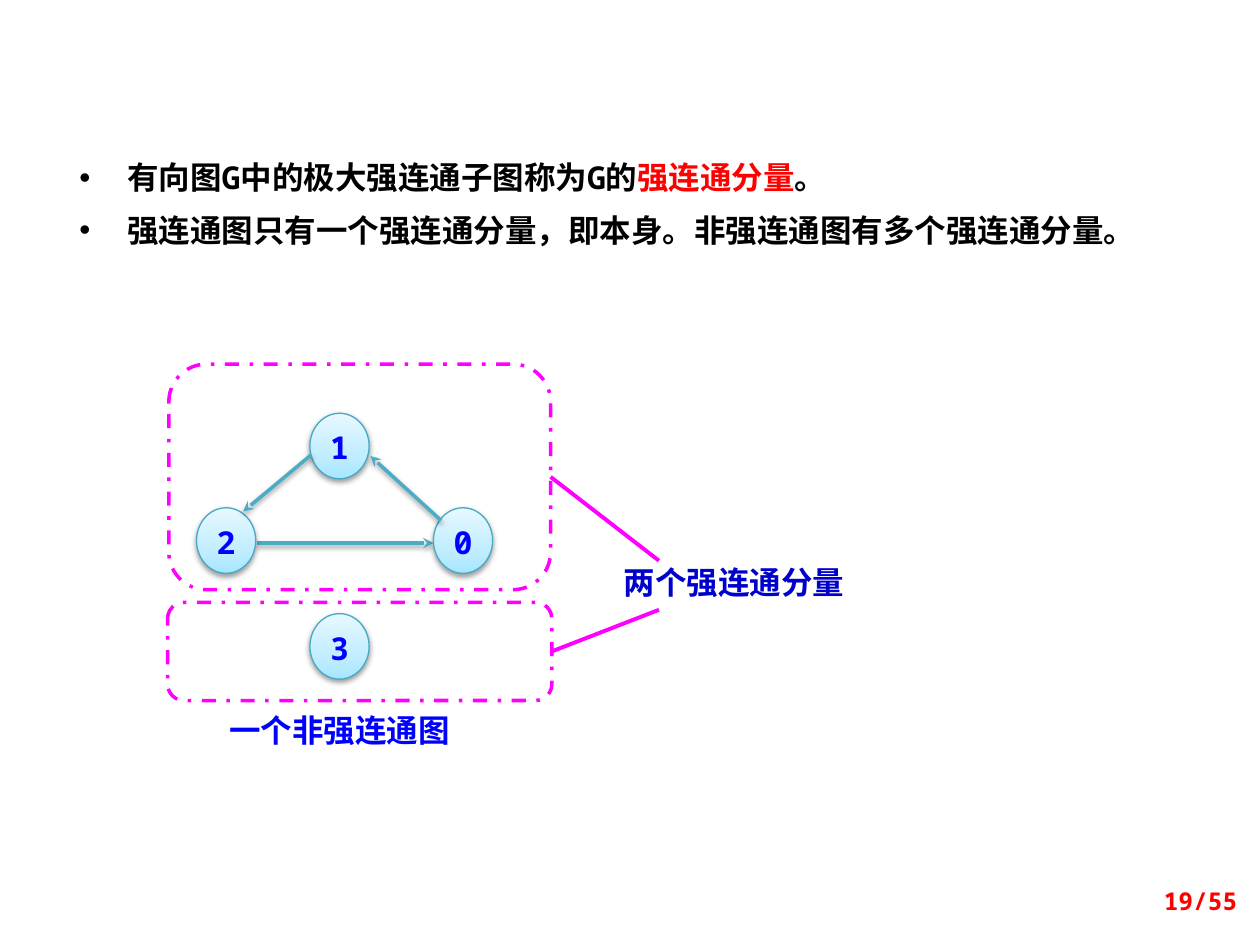
from dataclasses import dataclass

from lxml.etree import SubElement
from pptx import Presentation
from pptx.dml.color import RGBColor
from pptx.enum.dml import MSO_LINE
from pptx.enum.shapes import MSO_CONNECTOR, MSO_SHAPE
from pptx.enum.text import MSO_ANCHOR as Anchor, MSO_AUTO_SIZE as AutoSize, PP_ALIGN as Align
from pptx.oxml import parse_xml
from pptx.oxml.ns import nsdecls, qn
from pptx.util import Inches, Pt

MONO, CJK_JP, CJK_SC = "Noto Sans Mono", "Noto Sans CJK JP", "Noto Sans CJK SC"
BLACK, RED, BLUE, NAVY = "000000", "FF0000", "0000FF", "0000CC"
MAGENTA, TEAL, NODE_EDGE, WHITE = "FF00FF", "4BACC6", "46AAC5", "FFFFFF"
NODE_STOPS = ((0, "A7E6FF"), (35, "C1EDFF"), (100, "E7F8FF"))
NODE_WIDTH, NODE_HEIGHT = 0.47, 0.52


@dataclass(frozen=True)
class Span:
    text: str
    font: str = MONO
    color: str = BLACK
    size: float = 18


@dataclass(frozen=True)
class Area:
    left: float
    top: float
    width: float
    height: float

    def lengths(self) -> list:
        return [Inches(v) for v in (self.left, self.top, self.width, self.height)]


@dataclass(frozen=True)
class Node:
    label: str
    left: float
    top: float


@dataclass(frozen=True)
class Edge:
    start: tuple[float, float]
    end: tuple[float, float]


@dataclass(frozen=True)
class Component:
    area: Area
    callout_end: tuple[float, float]


NODES = (Node("1", 2.46, 3.28), Node("0", 3.44, 4.03),
         Node("2", 1.56, 4.03), Node("3", 2.46, 4.87))
EDGES = (Edge((2.04, 4.31), (3.44, 4.31)),
         Edge((2.47, 3.61), (1.93, 4.06)),
         Edge((3.5, 4.13), (2.94, 3.62)))
COMPONENTS = (Component(Area(1.34, 2.89, 3.03, 1.79), (5.23, 4.45)),
              Component(Area(1.33, 4.78, 3.05, 0.78), (5.23, 4.84)))
DEFINITIONS = (
    (Span("有向图G中的极大强连通子图称为G的"), Span("强连通分量", CJK_JP, RED), Span("。")),
    (Span("强连通图只有一个强连通分量，即本身。非强连通图有多个强连通分量。"),),
)


def rgb(color: str) -> RGBColor:
    return RGBColor.from_string(color)


def apply(target, **values) -> None:
    for name, value in values.items():
        setattr(target, name, value)


def set_line(line, color: str, width: float) -> None:
    line.color.rgb = rgb(color)
    line.width = Pt(width)


def set_effects(shape, shadow: bool = False) -> None:
    """Replace the theme shadow with none or with a soft one below the shape."""
    effects = SubElement(shape._element.spPr, qn("a:effectLst"))
    if shadow:
        effects.append(parse_xml(
            f'<a:outerShdw {nsdecls("a")} blurRad="{Pt(3.1)}" dist="{Pt(1.6)}" dir="5400000" '
            'rotWithShape="0"><a:srgbClr val="000000"><a:alpha val="38000"/></a:srgbClr>'
            '</a:outerShdw>'))


def add_span(para, span: Span) -> None:
    run = para.add_run()
    run.text = span.text
    apply(run.font, name=span.font, size=Pt(span.size), bold=True)
    run.font.color.rgb = rgb(span.color)
    east_asian = span.font if span.font != MONO else CJK_SC
    SubElement(run._r.get_or_add_rPr(), qn("a:ea"), typeface=east_asian)


def add_label(page, area: Area, span: Span, align=Align.CENTER,
              anchor=Anchor.TOP, fit=AutoSize.SHAPE_TO_FIT_TEXT) -> None:
    frame = page.shapes.add_textbox(*area.lengths()).text_frame
    apply(frame, word_wrap=True, auto_size=fit, vertical_anchor=anchor)
    para = frame.paragraphs[0]
    para.alignment = align
    add_span(para, span)


def add_definitions(page) -> None:
    box = page.shapes.add_shape(MSO_SHAPE.RECTANGLE, *Area(0.47, 1.02, 9.1, 1.08).lengths())
    box.fill.solid()
    box.fill.fore_color.rgb = rgb(WHITE)
    box.line.fill.background()
    set_effects(box)
    frame = box.text_frame
    apply(frame, word_wrap=True, auto_size=AutoSize.SHAPE_TO_FIT_TEXT,
          vertical_anchor=Anchor.TOP, margin_left=Inches(0.16),
          margin_top=Inches(0.12), margin_bottom=Inches(0.12))
    for index, spans in enumerate(DEFINITIONS):
        para = frame.add_paragraph() if index else frame.paragraphs[0]
        apply(para, alignment=Align.LEFT, line_spacing=Pt(30))
        props = para._p.get_or_add_pPr()
        props.set("marL", str(Inches(0.38)))
        props.set("indent", str(-Inches(0.38)))
        SubElement(props, qn("a:buFont"), typeface="Arial")
        SubElement(props, qn("a:buChar"), char="•")
        for span in spans:
            add_span(para, span)


def add_node(page, node: Node) -> None:
    area = Area(node.left, node.top, NODE_WIDTH, NODE_HEIGHT)
    oval = page.shapes.add_shape(MSO_SHAPE.OVAL, *area.lengths())
    set_line(oval.line, NODE_EDGE, 0.75)
    stops = "".join(f'<a:gs pos="{position * 1000}"><a:srgbClr val="{color}"/></a:gs>'
                    for position, color in NODE_STOPS)
    oval._element.spPr.find(qn("a:ln")).addprevious(parse_xml(
        f'<a:gradFill {nsdecls("a")} rotWithShape="1"><a:gsLst>{stops}</a:gsLst>'
        '<a:lin ang="16200000" scaled="0"/></a:gradFill>'))
    set_effects(oval, shadow=True)
    frame = oval.text_frame
    apply(frame, word_wrap=True, vertical_anchor=Anchor.TOP, margin_left=0,
          margin_top=Inches(0.12), margin_right=0, margin_bottom=0)
    para = frame.paragraphs[0]
    apply(para, alignment=Align.CENTER, line_spacing=0.72)
    add_span(para, Span(node.label, color=BLUE))


def add_line(page, edge: Edge, color: str, width: float):
    points = [Inches(v) for v in (*edge.start, *edge.end)]
    line = page.shapes.add_connector(MSO_CONNECTOR.STRAIGHT, *points)
    set_line(line.line, color, width)
    return line


def add_arrow(page, edge: Edge) -> None:
    arrow = add_line(page, edge, TEAL, 2)
    SubElement(arrow._element.spPr.find(qn("a:ln")), qn("a:tailEnd"), type="stealth")
    set_effects(arrow, shadow=True)


def add_component(page, component: Component) -> None:
    """Draw a dashed frame and the line that leads from it to its caption."""
    area = component.area
    outline = page.shapes.add_shape(MSO_SHAPE.ROUNDED_RECTANGLE, *area.lengths())
    outline.fill.background()
    set_line(outline.line, MAGENTA, 2)
    outline.line.dash_style = MSO_LINE.DASH_DOT
    set_effects(outline)
    side = (area.left + area.width, area.top + area.height / 2)
    callout = add_line(page, Edge(side, component.callout_end), MAGENTA, 2.25)
    callout.begin_connect(outline, 3)
    set_effects(callout)


def main() -> None:
    deck = Presentation()
    apply(deck, slide_width=Inches(10), slide_height=Inches(7.5))
    page = deck.slides.add_slide(deck.slide_layouts[6])
    add_definitions(page)
    base, *sides = EDGES
    add_arrow(page, base)
    for node in NODES:
        add_node(page, node)
    for edge in sides:
        add_arrow(page, edge)
    add_label(page, Area(1.64, 5.59, 2.11, 0.4), Span("一个非强连通图", CJK_SC, BLUE))
    add_label(page, Area(4.69, 4.42, 2.27, 0.4), Span("两个强连通分量", CJK_SC, NAVY))
    for component in COMPONENTS:
        add_component(page, component)
    add_label(page, Area(7.59, 6.95, 2.33, 0.4), Span("19/55", MONO, RED, 14),
              Align.RIGHT, Anchor.MIDDLE, AutoSize.NONE)
    deck.save("out.pptx")


if __name__ == "__main__":
    main()
